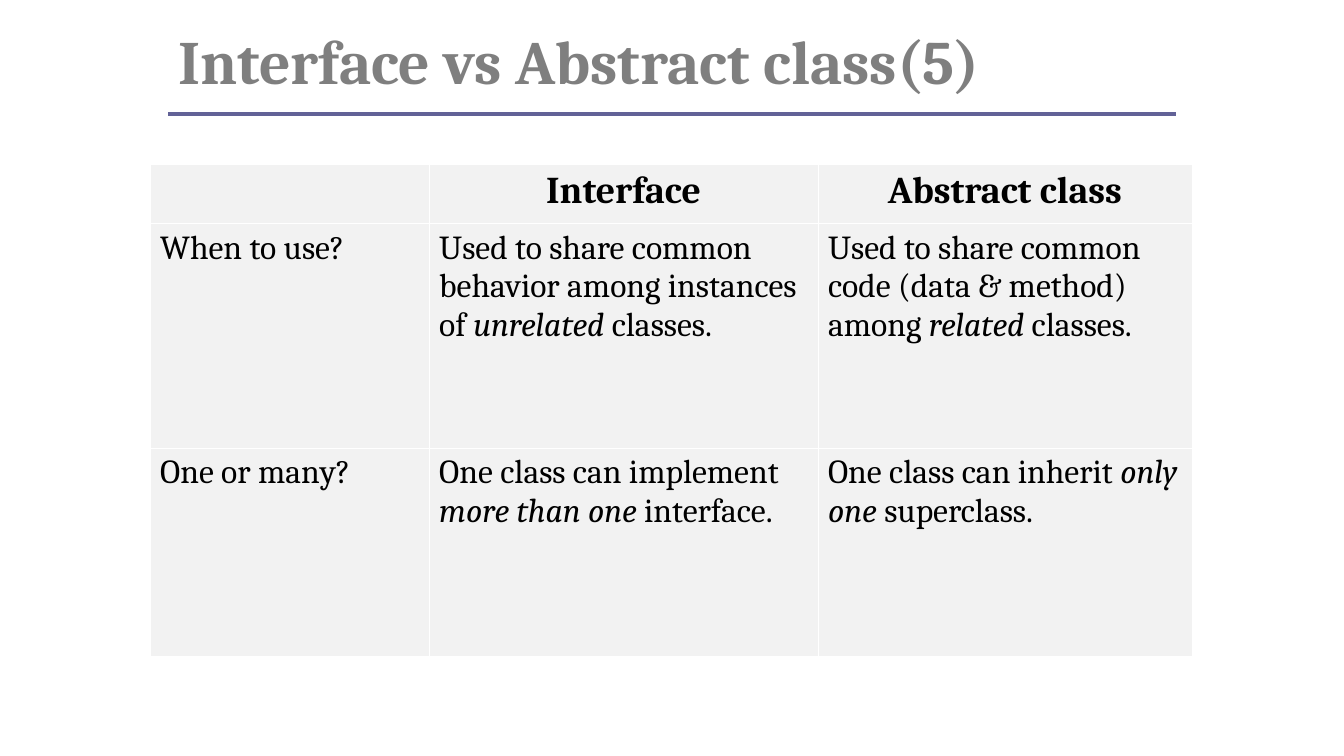
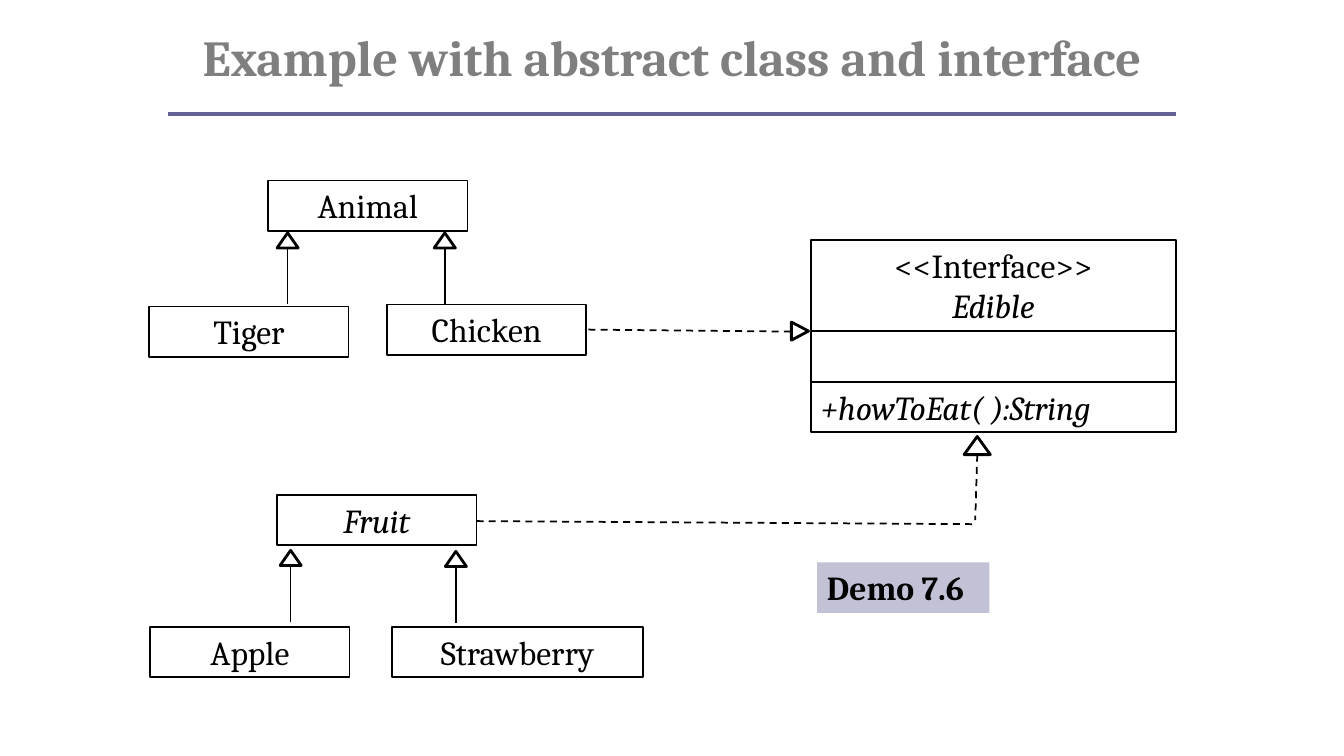
from dataclasses import dataclass

from lxml import etree
from pptx import Presentation
from pptx.dml.color import RGBColor
from pptx.enum.dml import MSO_LINE
from pptx.enum.shapes import MSO_CONNECTOR, MSO_SHAPE
from pptx.enum.text import MSO_ANCHOR, PP_ALIGN
from pptx.oxml.ns import qn
from pptx.util import Inches, Pt

LEFT, CENTER = PP_ALIGN.LEFT, PP_ALIGN.CENTER
TOP, MIDDLE = MSO_ANCHOR.TOP, MSO_ANCHOR.MIDDLE
RECTANGLE, TRIANGLE = MSO_SHAPE.RECTANGLE, MSO_SHAPE.ISOSCELES_TRIANGLE
STRAIGHT = MSO_CONNECTOR.STRAIGHT
DASH = MSO_LINE.DASH


@dataclass(frozen=True)
class Theme:
    font: str = "Cambria"
    title: str = "7F7F7F"
    rule: str = "626297"
    ink: str = "000000"
    cell: str = "F2F2F2"
    border: str = "FFFFFF"
    badge: str = "C2C2D6"
    header_size: float = 27
    body_size: float = 24
    rule_width: float = 3
    line_width: float = 1.25
    head_width: float = 2
    border_width: float = 0.45


THEME = Theme()

COMPARISON_TITLE = ("Interface vs Abstract class(5)", 44, LEFT, (1.67, 0.31, 8.92, 0.71))
DIAGRAM_TITLE = ("Example with abstract class and interface", 36, CENTER, (1.67, 0.25, 10, 0.73))
RULE = ((1.67, 1.13), (11.67, 1.13))

TABLE_PLACE = (1.49, 1.63)
COLUMN_WIDTHS = (2.77, 3.86, 3.71)
ROW_HEIGHTS = (0.59, 2.23, 2.06)
COMPARISON = [
    ("", "Interface", "Abstract class"),
    (
        "When to use?",
        "Used to share common behavior among instances of *unrelated* classes.",
        "Used to share common code (data & method) among *related* classes.",
    ),
    (
        "One or many?",
        "One class can implement *more than one* interface.",
        "One class can inherit *only one* superclass.",
    ),
]

BOX_WIDTH, BOX_HEIGHT = 1.98, 0.5
CLASSES = [
    ("Animal", 2.66, 1.79, BOX_WIDTH),
    ("Tiger", 1.48, 3.04, BOX_WIDTH),
    ("Chicken", 3.84, 3.02, BOX_WIDTH),
    ("*Fruit*", 2.75, 4.91, BOX_WIDTH),
    ("Apple", 1.49, 6.22, BOX_WIDTH),
    ("Strawberry", 3.89, 6.22, 2.49),
]
INTERFACE_LEFT, INTERFACE_WIDTH = 8.05, 3.62
INTERFACE_PARTS = [
    (["<<Interface>>", "*Edible*"], 2.38, 0.9, CENTER),
    ([], 3.29, BOX_HEIGHT, LEFT),
    (["*+howToEat( ):String*"], 3.79, BOX_HEIGHT, LEFT),
]
HEAD_WIDTH, HEAD_HEIGHT, STEM = 0.21, 0.15, 0.56
INHERITANCE_HEADS = [(2.75, 2.31), (4.31, 2.31), (2.78, 5.46), (4.42, 5.47)]
REALIZATION_HEADS = [((7.85, 3.2, 0.18, 0.17), 90), ((9.57, 4.33, 0.26, 0.18), 0)]
REALIZATION_LINES = [
    ((7.85, 3.29), (5.82, 3.27)),
    ((4.73, 5.17), (9.68, 5.2)),
    ((9.7, 4.51), (9.68, 5.16)),
]
BADGE = ("Demo 7.6", (8.11, 5.58, 1.71, BOX_HEIGHT))


def inches(values):
    return [Inches(value) for value in values]


def color(value):
    return RGBColor.from_string(value)


def write(frame, lines, size=THEME.body_size, ink=THEME.ink, bold=False,
          align=LEFT, before=0, spacing=1.0):
    frame.word_wrap = True
    for index, line in enumerate(lines):
        para = frame.paragraphs[0] if index == 0 else frame.add_paragraph()
        para.alignment = align
        para.space_before = Pt(before)
        para.line_spacing = spacing
        for position, piece in enumerate(line.split("*")):
            if not piece:
                continue
            span = para.add_run()
            span.text = piece
            span.font.name = THEME.font
            span.font.size = Pt(size)
            span.font.bold = bold
            span.font.italic = position % 2 == 1
            span.font.color.rgb = color(ink)


def add_outline(page, kind, place, width=THEME.line_width):
    shape = page.shapes.add_shape(kind, *inches(place))
    shape.shadow.inherit = False
    shape.fill.background()
    shape.line.color.rgb = color(THEME.ink)
    shape.line.width = Pt(width)
    return shape


def add_box(page, lines, place, align=CENTER):
    box = add_outline(page, RECTANGLE, place)
    box.text_frame.vertical_anchor = TOP
    write(box.text_frame, lines, align=align)


def add_line(page, start, end, ink=THEME.ink, width=THEME.line_width, dash=None):
    line = page.shapes.add_connector(STRAIGHT, *inches(start + end))
    line.line.color.rgb = color(ink)
    line.line.width = Pt(width)
    if dash:
        line.line.dash_style = dash
    etree.SubElement(line._element.spPr, qn("a:effectLst"))


def add_page(deck, title):
    text, size, align, place = title
    page = deck.slides.add_slide(deck.slide_layouts[6])
    box = page.shapes.add_textbox(*inches(place))
    box.text_frame.vertical_anchor = MIDDLE
    write(box.text_frame, [text], size, THEME.title, True, align, spacing=0.8)
    add_line(page, *RULE, ink=THEME.rule, width=THEME.rule_width)
    return page


def add_borders(cell):
    properties = cell._tc.get_or_add_tcPr()
    for side in ("lnL", "lnR", "lnT", "lnB"):
        border = etree.SubElement(properties, qn(f"a:{side}"), w=str(Pt(THEME.border_width)))
        fill = etree.SubElement(border, qn("a:solidFill"))
        etree.SubElement(fill, qn("a:srgbClr"), val=THEME.border)


def add_comparison(page):
    size = (sum(COLUMN_WIDTHS), sum(ROW_HEIGHTS))
    table = page.shapes.add_table(
        len(ROW_HEIGHTS), len(COLUMN_WIDTHS), *inches(TABLE_PLACE + size)).table
    table.first_row = False
    table.horz_banding = False
    for column, width in zip(table.columns, COLUMN_WIDTHS):
        column.width = Inches(width)
    for index, (row, height, texts) in enumerate(zip(table.rows, ROW_HEIGHTS, COMPARISON)):
        row.height = Inches(height)
        for cell, text in zip(row.cells, texts):
            add_borders(cell)
            cell.fill.solid()
            cell.fill.fore_color.rgb = color(THEME.cell)
            if index == 0:
                write(cell.text_frame, [text], THEME.header_size, bold=True,
                      align=CENTER, before=6.8)
            else:
                write(cell.text_frame, [text], before=6)


def add_diagram(page):
    for name, left, top, width in CLASSES:
        add_box(page, [name], (left, top, width, BOX_HEIGHT))
    for lines, top, height, align in INTERFACE_PARTS:
        add_box(page, lines, (INTERFACE_LEFT, top, INTERFACE_WIDTH, height), align)
    for left, top in INHERITANCE_HEADS:
        add_outline(page, TRIANGLE, (left, top, HEAD_WIDTH, HEAD_HEIGHT), THEME.head_width)
        middle, base = left + HEAD_WIDTH / 2, top + HEAD_HEIGHT
        add_line(page, (middle, base), (middle, base + STEM))
    for place, rotation in REALIZATION_HEADS:
        head = add_outline(page, TRIANGLE, place, THEME.head_width)
        head.rotation = rotation
    for start, end in REALIZATION_LINES:
        add_line(page, start, end, dash=DASH)


def add_badge(page):
    text, place = BADGE
    badge = page.shapes.add_shape(RECTANGLE, *inches(place))
    badge.shadow.inherit = False
    badge.fill.solid()
    badge.fill.fore_color.rgb = color(THEME.badge)
    badge.line.fill.background()
    badge.text_frame.vertical_anchor = TOP
    write(badge.text_frame, [text], bold=True)


def main():
    deck = Presentation()
    deck.slide_width, deck.slide_height = inches((13.34, 7.5))
    add_comparison(add_page(deck, COMPARISON_TITLE))
    diagram_page = add_page(deck, DIAGRAM_TITLE)
    add_diagram(diagram_page)
    add_badge(diagram_page)
    deck.save("out.pptx")


if __name__ == "__main__":
    main()
